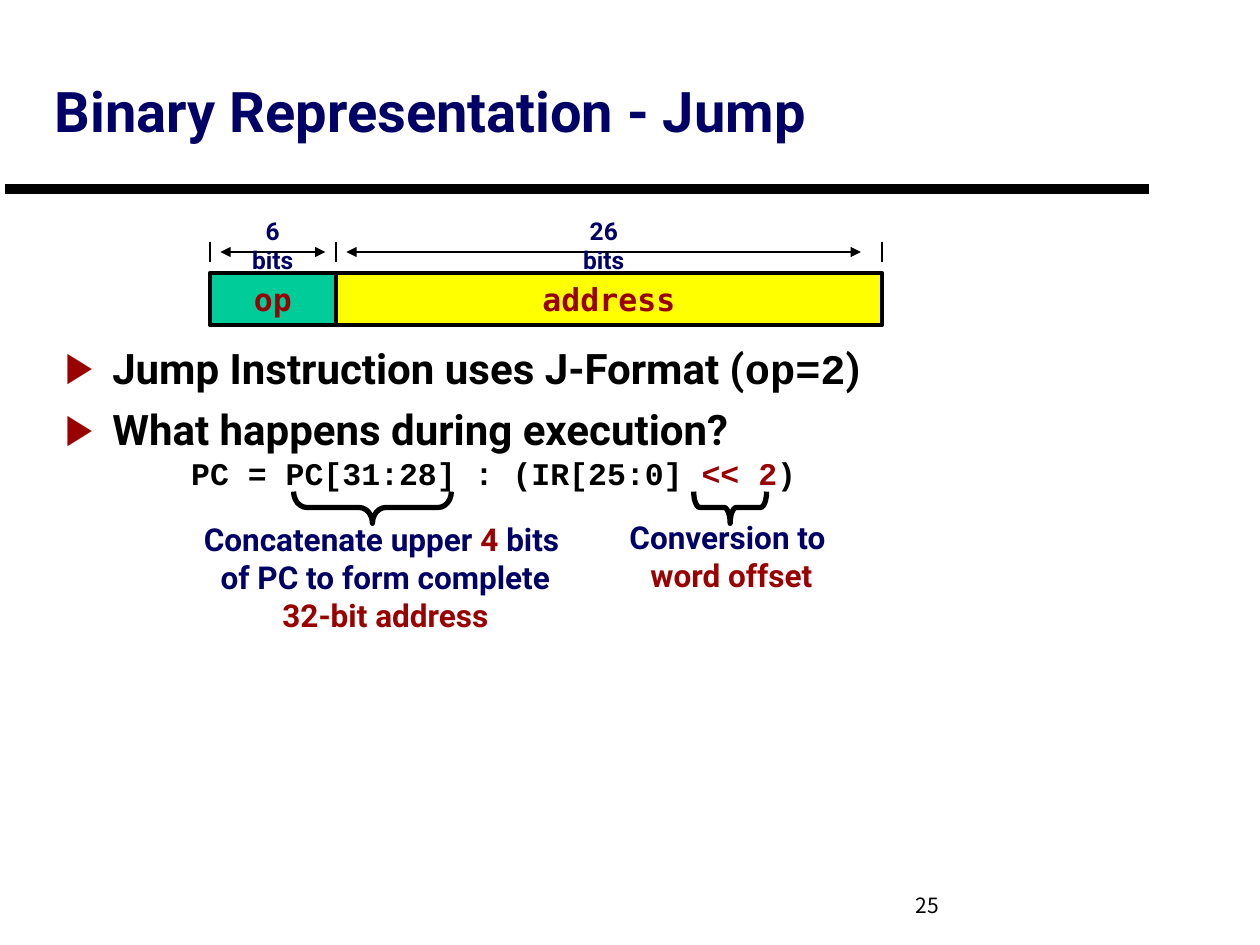
from pptx import Presentation
from pptx.dml.color import RGBColor
from pptx.enum.shapes import MSO_CONNECTOR as CONN, MSO_SHAPE as SHAPE
from pptx.enum.text import MSO_ANCHOR as ANCHOR, MSO_AUTO_SIZE as AUTO, PP_ALIGN as ALIGN
from pptx.oxml.ns import qn
from pptx.util import Cm, Pt
from lxml.etree import SubElement

C = {"navy": "000066", "red": "990000", "black": "000000",
     "green": "00CC99", "yellow": "FFFF00"}
SANS, CODE, MONO = "Roboto", "Courier New", "DejaVu Sans Mono"

# Content: a run is text or (text, format), a paragraph is a list of runs
TITLE = "Binary Representation - Jump"
BULLETS = [
    ["Jump Instruction uses J-Format (", ("op=2", {"font": CODE}), ")"],
    ["What happens during execution?", "\n",
     ("\tPC = PC[31:28] : (IR[25:0] ", {"font": CODE, "size": 18}),
     ("<< 2", {"font": CODE, "size": 18, "color": "red"}),
     (")", {"font": CODE, "size": 18})],
]
# name, bits, fill, label, label width, label shift, gap right of the arrow
FIELDS = [("op", 6, "green", "6 bits", 1.65, 0, 0.21),
          ("address", 26, "yellow", "26 bits", 1.9, -0.1, 0.42)]
RED = {"color": "red"}
# paragraphs, text box, brace centre, brace length, brace curve
NOTES = [
    ([["Concatenate upper ", ("4", RED), " bits "], ["of PC to form complete"],
      [("32-bit address", RED)]], (3.63, 10.36, 8.28, 2.54), 7.51, 3.18, 0.417),
    ([["Conversion to "], [("word offset", RED)]],
     (12.27, 10.31, 4.95, 1.78), 14.72, 1.47, 0.194),
]
PAGE = "25"

# Diagram geometry in cm
LEFT, TOP, BIT, FIELD_H = 4.23, 5.5, 2.54 / 6, 1.06
ARROW_Y, TICK, GAP = 5.08, 0.21, 0.21
BRACE_Y, BRACE_W = 10.23, 0.64

prs = Presentation()
prs.slide_width, prs.slide_height = Cm(25.4), Cm(19.05)
s = prs.slides.add_slide(prs.slide_layouts[1])


def rgb(name):
    return RGBColor.from_string(C[name])


def write(sp, paragraphs, font=SANS, size=18, color="navy", bold=True,
          align=ALIGN.CENTER, anchor=ANCHOR.TOP, wrap=True):
    tf = sp.text_frame
    tf.word_wrap, tf.vertical_anchor, tf.auto_size = wrap, anchor, AUTO.NONE
    for i, runs in enumerate(paragraphs):
        p = tf.paragraphs[0] if i == 0 else tf.add_paragraph()
        p.alignment = align
        for run in runs:
            text, fmt = (run, {}) if isinstance(run, str) else run
            if text == "\n":
                p.add_line_break()
                continue
            r = p.add_run()
            r.text = text
            r.font.name = fmt.get("font", font)
            r.font.size = Pt(fmt.get("size", size))
            r.font.color.rgb = rgb(fmt.get("color", color))
            r.font.bold = bold
    return tf


def place(sp, x, y, w, h):
    sp.left, sp.top, sp.width, sp.height = Cm(x), Cm(y), Cm(w), Cm(h)


def textbox(x, y, w, h, paragraphs, **fmt):
    return write(s.shapes.add_textbox(Cm(x), Cm(y), Cm(w), Cm(h)), paragraphs, **fmt)


def shape(kind, x, y, w, h, width, fill=None):
    sp = s.shapes.add_shape(kind, Cm(x), Cm(y), Cm(w), Cm(h))
    sp.shadow.inherit = False
    sp.line.color.rgb, sp.line.width = rgb("black"), Pt(width)
    if fill:
        sp.fill.solid()
        sp.fill.fore_color.rgb = rgb(fill)
    else:
        sp.fill.background()
    return sp


def line(x1, y1, x2, y2, width=1, arrows=False):
    cn = s.shapes.add_connector(CONN.STRAIGHT, Cm(x1), Cm(y1), Cm(x2), Cm(y2))
    cn.line.color.rgb, cn.line.width = rgb("black"), Pt(width)
    if arrows:
        for end in ("a:headEnd", "a:tailEnd"):
            SubElement(cn.line._get_or_add_ln(), qn(end), type="triangle")
    SubElement(cn._element.spPr, qn("a:effectLst"))


def tick(x):
    line(x, ARROW_Y + TICK, x, ARROW_Y - TICK)


# Title and rule
line(0.1, 3.81, 23.16, 3.81, width=6)
title, body = s.placeholders[0], s.placeholders[1]
place(title, 0.85, 0.64, 22.65, 3.18)
write(title, [[TITLE]], size=32, align=ALIGN.LEFT, anchor=ANCHOR.MIDDLE)

# Bullets
place(body, 1.06, 6.77, 22.43, 10.58)
for p in write(body, BULLETS, size=24, color="black", align=ALIGN.LEFT).paragraphs:
    pPr = p._p.get_or_add_pPr()
    for key, value in (("marL", 0.95), ("indent", -0.95), ("defTabSz", 2.54)):
        pPr.set(key, str(Cm(value)))
    SubElement(SubElement(pPr, qn("a:buClr")), qn("a:srgbClr"), val=C["red"])
    SubElement(pPr, qn("a:buChar"), char="▶")

# Instruction fields with their bit widths
x = LEFT
tick(x)
for name, bits, fill, label, label_w, shift, end_gap in FIELDS:
    w = bits * BIT
    box = shape(SHAPE.RECTANGLE, x, TOP, w, FIELD_H, 2.25, fill)
    write(box, [[name]], font=MONO, color="red", anchor=ANCHOR.MIDDLE, wrap=False)
    line(x + GAP, ARROW_Y, x + w - end_gap, ARROW_Y, arrows=True)
    textbox(x + (w - label_w) / 2 + shift, 4.23, label_w, 0.85, [[label]], size=14)
    x += w
    tick(x)

# Braces with notes, each brace turned to point down
for paragraphs, frame, centre, length, curve in NOTES:
    brace = shape(SHAPE.LEFT_BRACE, centre - BRACE_W / 2, BRACE_Y - length / 2,
                  BRACE_W, length, 3)
    brace.rotation = 270
    brace.adjustments[0] = curve
    textbox(*frame, paragraphs, anchor=ANCHOR.MIDDLE, wrap=False)

# Page number
textbox(18.21, 17.86, 5.28, 0.99, [[PAGE]], font="Noto Sans CJK KR", size=12,
        color="black", bold=False, align=ALIGN.LEFT)

prs.save("out.pptx")
